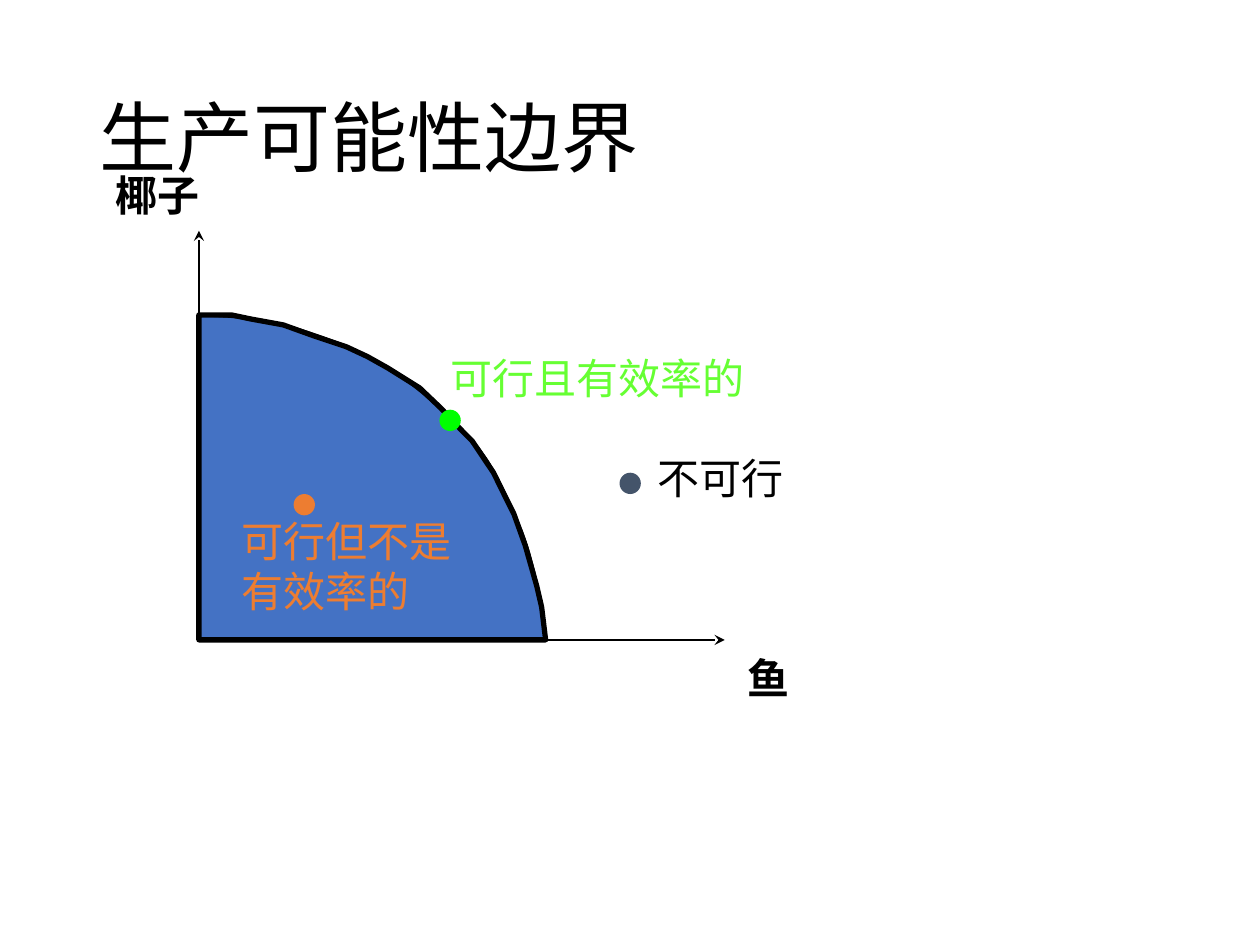
from lxml import etree
from pptx import Presentation
from pptx.dml.color import RGBColor
from pptx.enum.shapes import MSO_CONNECTOR, MSO_SHAPE
from pptx.enum.text import MSO_ANCHOR, MSO_AUTO_SIZE, PP_ALIGN
from pptx.oxml.ns import qn
from pptx.util import Cm, Pt

STRAIGHT = MSO_CONNECTOR.STRAIGHT
OVAL = MSO_SHAPE.OVAL
MIDDLE, TOP = MSO_ANCHOR.MIDDLE, MSO_ANCHOR.TOP
LEFT = PP_ALIGN.LEFT
NO_AUTOFIT = MSO_AUTO_SIZE.NONE

BLACK = RGBColor(0x00, 0x00, 0x00)
BLUE = RGBColor(0x44, 0x72, 0xC4)
ORANGE = RGBColor(0xED, 0x7D, 0x31)
GREEN = RGBColor(0x00, 0xFF, 0x00)
LIME = RGBColor(0x66, 0xFF, 0x33)
SLATE = RGBColor(0x44, 0x54, 0x6A)

# Outline of the feasible set, in cm from the top of the vertical side
REGION_POINTS = [
    (0, 0), (0.43, 0), (0.66, 0), (1.04, 0.08), (1.7, 0.2), (2.34, 0.43),
    (2.97, 0.64), (3.4, 0.84), (3.81, 1.07), (4.45, 1.47), (4.88, 1.88),
    (5.31, 2.34), (5.51, 2.54), (5.94, 3.18), (6.15, 3.61), (6.35, 4.01),
    (6.58, 4.65), (6.81, 5.46), (6.91, 5.89), (6.99, 6.55), (0, 6.55),
]
# Bezier segments of the frontier: two control points and an end point each
FRONTIER_SEGMENTS = [
    ((0.53, 0.03), (1.07, 0.03), (1.7, 0.2)),
    ((2.34, 0.38), (3.18, 0.66), (3.81, 1.07)),
    ((4.45, 1.45), (5.08, 2.06), (5.51, 2.54)),
    ((5.94, 3.02), (6.15, 3.56), (6.35, 4.01)),
    ((6.58, 4.47), (6.68, 4.88), (6.78, 5.28)),
    ((6.88, 5.72), (6.93, 6.15), (6.99, 6.55)),
]
REGION_DROP = 1.7
DOT_SIZE = 0.43
# Left, top and colour of each dot
DOTS = [(1.91, 5.31, ORANGE), (4.85, 3.61, GREEN), (8.48, 4.88, SLATE)]
# Text, left, top, width, height and format of each label
AXIS_FORMAT = {"font": "Times New Roman", "bold": True}
LABELS = [
    ("鱼", 10.8, 8.38, 1.37, 1.3, AXIS_FORMAT),
    ("椰子", -1.93, -1.35, 2.24, 2.31, AXIS_FORMAT),
    ("可行但不是\n有效率的", 0.61, 5.61, 4.8, 2.31, {"color": ORANGE}),
    ("可行且有效率的", 4.83, 2.34, 6.5, 1.3, {"color": LIME}),
    ("不可行", 8.99, 4.34, 3.07, 1.3, {}),
]


def write_text(shape, text, font="Arial", size=24, color=BLACK, bold=False,
               wrap=False, anchor=TOP, line_spacing=1.0):
    frame = shape.text_frame
    frame.text = text
    frame.word_wrap = wrap
    frame.auto_size = NO_AUTOFIT
    frame.vertical_anchor = anchor
    for paragraph in frame.paragraphs:
        paragraph.alignment = LEFT
        paragraph.line_spacing = line_spacing
        paragraph.font.name = font
        paragraph.font.size = Pt(size)
        paragraph.font.bold = bold
        paragraph.font.color.rgb = color


def add_title(slide, left, top, width, height):
    title = slide.shapes.title
    title.left, title.top = Cm(left), Cm(top)
    title.width, title.height = Cm(width), Cm(height)
    write_text(title, "生产可能性边界", font="Calibri", size=44, wrap=True,
               anchor=MIDDLE, line_spacing=0.9)


def add_axis(slide, start, end):
    axis = slide.shapes.add_connector(
        STRAIGHT, *(Cm(value) for value in (*start, *end)))
    axis.line.color.rgb = BLACK
    axis.line.width = Pt(1)
    etree.SubElement(axis.line._get_or_add_ln(), qn("a:tailEnd"), type="stealth")
    etree.SubElement(axis._element.spPr, qn("a:effectLst"))


def add_outline(slide, points, left, top, line_width, fill=None):
    placed = [(Cm(left + x), Cm(top + y)) for x, y in points]
    builder = slide.shapes.build_freeform(*placed[0])
    builder.add_line_segments(placed[1:], close=fill is not None)
    shape = builder.convert_to_shape()
    shape.shadow.inherit = False
    shape.line.color.rgb = BLACK
    shape.line.width = Pt(line_width)
    if fill is None:
        shape.fill.background()
    else:
        shape.fill.solid()
        shape.fill.fore_color.rgb = fill


def trace_frontier(steps=8):
    """Return points along the Bezier segments of the frontier."""
    points = [(0, 0)]
    for first, second, end in FRONTIER_SEGMENTS:
        start = points[-1]
        for step in range(1, steps + 1):
            t = step / steps
            weights = ((1 - t) ** 3, 3 * t * (1 - t) ** 2,
                       3 * t ** 2 * (1 - t), t ** 3)
            points.append(tuple(
                sum(weight * value for weight, value in zip(weights, values))
                for values in zip(start, first, second, end)))
    return points


def add_diagram(slide, left, top, width, height):
    # Feasible set, axes and frontier
    region_top = top + REGION_DROP
    origin = (left, top + height)
    add_outline(slide, REGION_POINTS, left, region_top, 3, fill=BLUE)
    add_axis(slide, origin, (left, top))
    add_axis(slide, origin, (left + width, top + height))
    add_outline(slide, trace_frontier(), left, region_top, 1.5)

    # Production choices
    for x, y, color in DOTS:
        dot = slide.shapes.add_shape(
            OVAL, Cm(left + x), Cm(top + y), Cm(DOT_SIZE), Cm(DOT_SIZE))
        dot.shadow.inherit = False
        dot.fill.solid()
        dot.fill.fore_color.rgb = color
        dot.line.fill.background()

    # Labels
    for text, x, y, label_width, label_height, text_format in LABELS:
        label = slide.shapes.add_textbox(
            Cm(left + x), Cm(top + y), Cm(label_width), Cm(label_height))
        write_text(label, text, **text_format)


def main():
    presentation = Presentation()
    presentation.slide_width, presentation.slide_height = Cm(25.4), Cm(19.05)
    title_only = presentation.slide_layouts[5]
    slide = presentation.slides.add_slide(title_only)
    add_title(slide, 1.75, 1.02, 21.9, 3.68)
    add_diagram(slide, 4.01, 4.65, 10.6, 8.25)
    presentation.save("out.pptx")


if __name__ == "__main__":
    main()
